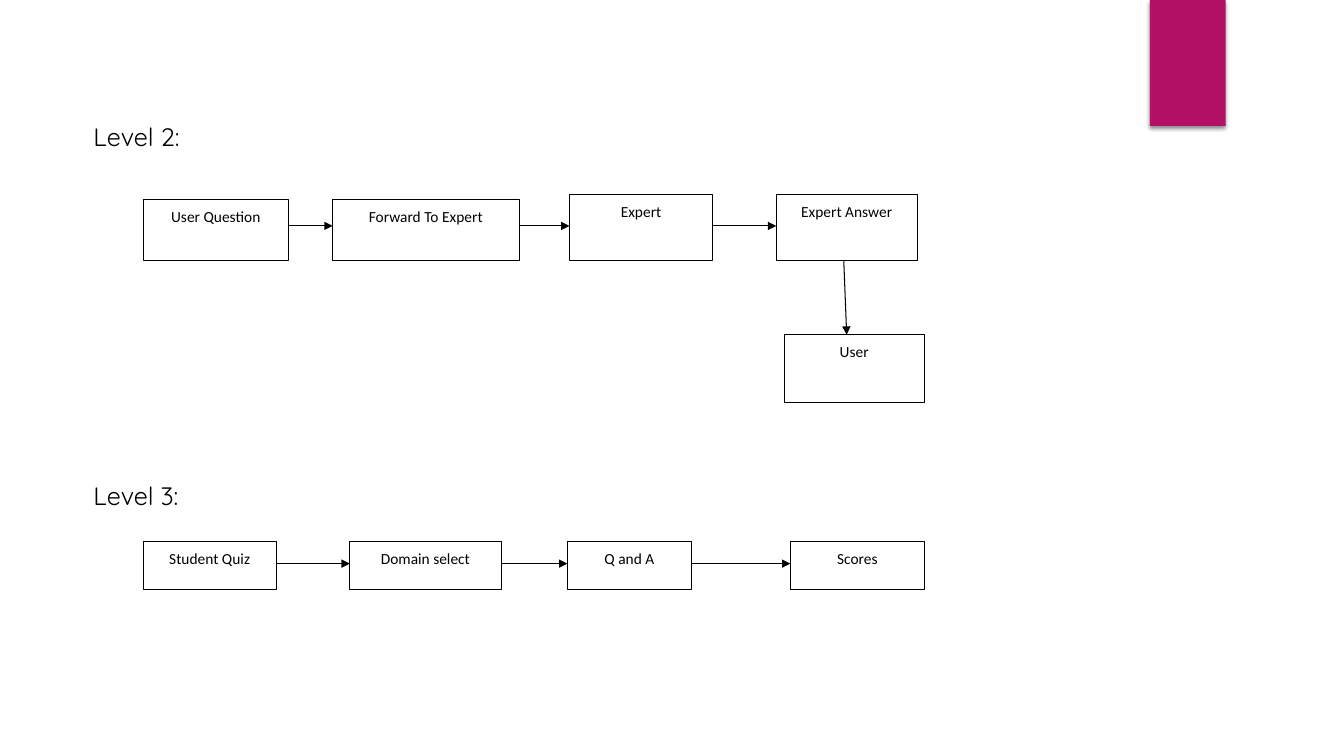
from itertools import pairwise

from pptx import Presentation
from pptx.dml.color import RGBColor
from pptx.enum.shapes import MSO_CONNECTOR, MSO_SHAPE
from pptx.enum.text import MSO_ANCHOR, MSO_AUTO_SIZE, PP_ALIGN
from pptx.oxml import parse_xml
from pptx.oxml.ns import nsdecls, qn
from pptx.util import Inches, Pt

BLACK = RGBColor(0x00, 0x00, 0x00)
WHITE = RGBColor(0xFF, 0xFF, 0xFF)
MAGENTA = RGBColor(0xB3, 0x11, 0x66)

COLUMNS, ROWS = 32, 18
FLOW_LEFT = 3.41
LABEL_LEFT = 1.99
ANSWER_BOTTOM = 6.2
USER_TOP = 7.97

QUESTION_STEPS = [
    ("User Question", FLOW_LEFT, 3.46, 1.46),
    ("Forward To Expert", 7.92, 4.44, 1.46),
    ("Expert", 13.56, 3.41, 1.57),
    ("Expert Answer", 18.48, 3.36, 1.57),
]
QUIZ_STEPS = [
    ("Student Quiz", FLOW_LEFT, 3.17, 1.15),
    ("Domain select", 8.33, 3.6, 1.15),
    ("Q and A", 13.51, 2.95, 1.15),
    ("Scores", 18.82, 3.19, 1.15),
]


def write_text(frame, text, font="Calibri", size=11, color=BLACK,
               align=PP_ALIGN.LEFT, spacing=1.0, after=0, wrap=True):
    frame.word_wrap = wrap
    frame.vertical_anchor = MSO_ANCHOR.TOP
    paragraph = frame.paragraphs[0]
    paragraph.alignment = align
    paragraph.line_spacing = spacing
    paragraph.space_after = Pt(after)
    run = paragraph.add_run()
    run.text = text
    run.font.name = font
    run.font.size = Pt(size)
    run.font.color.rgb = color


class FlowSlide:
    line_width = Pt(0.75)
    label_font = "Quicksand"

    def __init__(self, presentation):
        self.slide = presentation.slides.add_slide(presentation.slide_layouts[6])
        self.shapes = self.slide.shapes
        self.column = presentation.slide_width / COLUMNS
        self.row = presentation.slide_height / ROWS

    def place(self, left, top, width, height):
        return (round(left * self.column), round(top * self.row),
                round(width * self.column), round(height * self.row))

    def marker(self, left, top, width, height):
        shape = self.shapes.add_shape(
            MSO_SHAPE.RECTANGLE, *self.place(left, top, width, height))
        shape.fill.solid()
        shape.fill.fore_color.rgb = MAGENTA
        shape.line.fill.background()
        shape.element.spPr.append(parse_xml(
            f'<a:effectLst {nsdecls("a")}>'
            f'<a:outerShdw blurRad="{Pt(3)}" dist="{Pt(2)}" dir="5400000" rotWithShape="0">'
            '<a:srgbClr val="000000"><a:alpha val="45000"/></a:srgbClr>'
            '</a:outerShdw></a:effectLst>'))

    def label(self, text, top):
        box = self.shapes.add_textbox(*self.place(LABEL_LEFT, top, 2.69, 0.96))
        write_text(box.text_frame, text, font=self.label_font, size=18, wrap=False)
        box.text_frame.auto_size = MSO_AUTO_SIZE.SHAPE_TO_FIT_TEXT

    def box(self, group, text, left, top, width, height):
        shape = group.shapes.add_shape(
            MSO_SHAPE.RECTANGLE, *self.place(left, top, width, height))
        shape.shadow.inherit = False
        shape.fill.solid()
        shape.fill.fore_color.rgb = WHITE
        shape.line.color.rgb = BLACK
        shape.line.width = self.line_width
        write_text(shape.text_frame, text, align=PP_ALIGN.CENTER,
                   spacing=1.15, after=10)

    def arrow(self, group, start_column, start_row, end_column, end_row):
        connector = group.shapes.add_connector(
            MSO_CONNECTOR.STRAIGHT,
            *self.place(start_column, start_row, end_column, end_row))
        connector.line.color.rgb = BLACK
        connector.line.width = self.line_width
        properties = connector.element.spPr
        properties.find(qn("a:ln")).append(
            parse_xml(f'<a:tailEnd {nsdecls("a")} type="triangle"/>'))
        properties.append(parse_xml(f'<a:effectLst {nsdecls("a")}/>'))

    def flow(self, steps, bottom, arrow_row):
        group = self.shapes.add_group_shape()
        for text, left, width, height in steps:
            self.box(group, text, left, bottom - height, width, height)
        for (_, left, width, _), (_, next_left, _, _) in pairwise(steps):
            self.arrow(group, left + width, arrow_row, next_left, arrow_row)
        return group


def main():
    presentation = Presentation()
    presentation.slide_width = Inches(13.33)
    presentation.slide_height = Inches(7.5)

    page = FlowSlide(presentation)
    page.marker(27.38, 0, 1.8, 3)

    question_flow = page.flow(QUESTION_STEPS, bottom=ANSWER_BOTTOM, arrow_row=5.38)
    page.box(question_flow, "User", 18.67, USER_TOP, 3.34, 1.61)
    page.arrow(question_flow, 20.09, ANSWER_BOTTOM, 20.16, USER_TOP)
    page.label("Level 2:", 2.78)

    page.flow(QUIZ_STEPS, bottom=14.04, arrow_row=13.42)
    page.label("Level 3:", 11.33)

    presentation.save("out.pptx")


if __name__ == "__main__":
    main()
